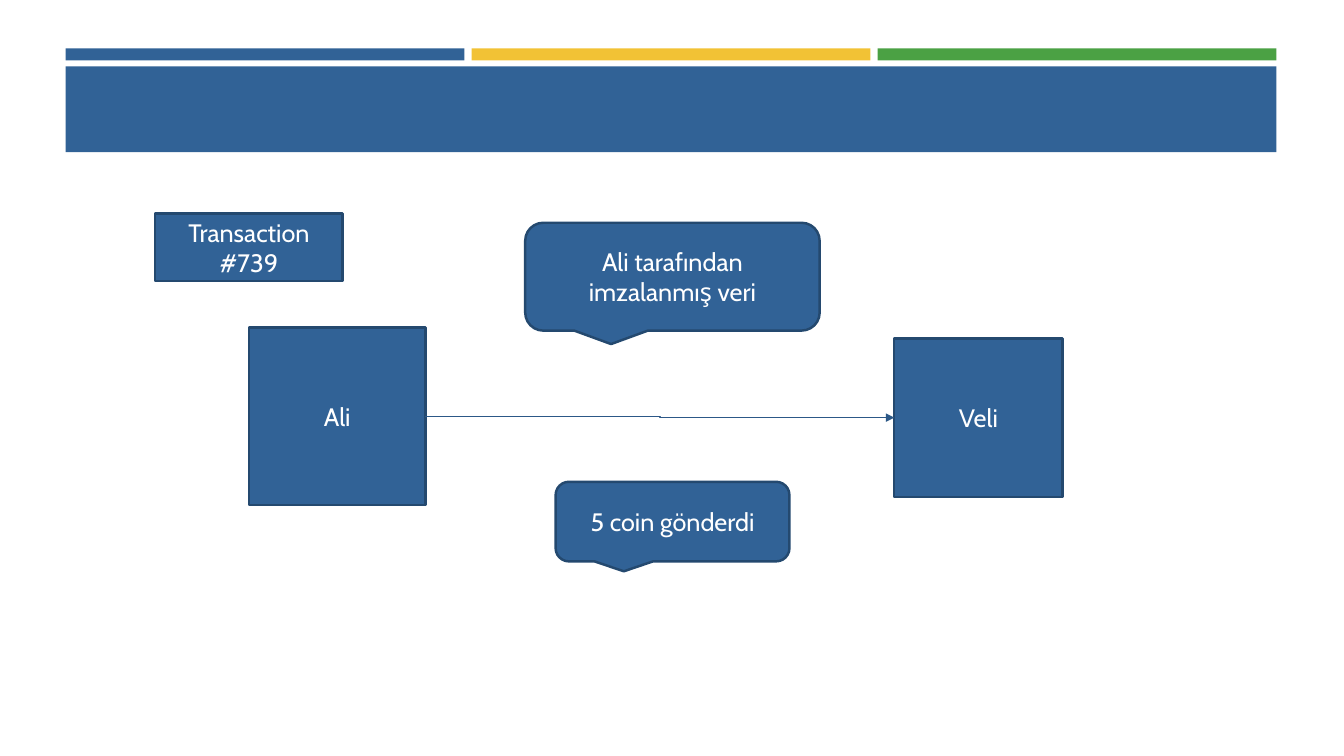
from lxml.etree import SubElement
from pptx import Presentation
from pptx.dml.color import RGBColor
from pptx.enum.shapes import MSO_CONNECTOR, MSO_SHAPE
from pptx.enum.text import MSO_ANCHOR, PP_ALIGN
from pptx.oxml.ns import qn
from pptx.util import Inches, Pt

BLUE, YELLOW, GREEN = "316296", "F2C235", "4BA144"
OUTLINE, ARROW, WHITE = "24496F", "2C5887", "FFFFFF"
RIGHT_SIDE, LEFT_SIDE = 3, 1


def color(hex_string):
    return RGBColor.from_string(hex_string)


class TransactionSlide:
    font = "Cabin"
    text_size = Pt(18)

    def __init__(self, deck):
        self.width, self.height = deck.slide_width, deck.slide_height
        self.slide = deck.slides.add_slide(deck.slide_layouts[6])

    def across(self, percent):
        return round(self.width * percent / 100)

    def down(self, percent):
        return round(self.height * percent / 100)

    def block(self, left, top, width, height, fill=BLUE, kind=MSO_SHAPE.RECTANGLE):
        block = self.slide.shapes.add_shape(
            kind, self.across(left), self.down(top), self.across(width), self.down(height))
        block.shadow.inherit = False
        block.fill.solid()
        block.fill.fore_color.rgb = color(fill)
        block.line.fill.background()
        return block

    def label(self, words, left, top, width, height, kind=MSO_SHAPE.RECTANGLE):
        label = self.block(left, top, width, height, kind=kind)
        label.line.color.rgb = color(OUTLINE)
        label.line.width = Pt(1.75)
        frame = label.text_frame
        frame.word_wrap = True
        frame.vertical_anchor = MSO_ANCHOR.MIDDLE
        paragraph = frame.paragraphs[0]
        paragraph.alignment = PP_ALIGN.CENTER
        run = paragraph.add_run()
        run.text = words
        run.font.name = self.font
        run.font.size = self.text_size
        run.font.color.rgb = color(WHITE)
        return label

    def callout(self, words, left, top, width, height):
        return self.label(words, left, top, width, height,
                          MSO_SHAPE.ROUNDED_RECTANGULAR_CALLOUT)

    def transfer(self, sender, receiver):
        arrow = self.slide.shapes.add_connector(MSO_CONNECTOR.ELBOW, 0, 0, 0, 0)
        arrow.begin_connect(sender, RIGHT_SIDE)
        arrow.end_connect(receiver, LEFT_SIDE)
        arrow.line.color.rgb = color(ARROW)
        arrow.line.width = Pt(1)
        SubElement(arrow.line._get_or_add_ln(), qn("a:tailEnd"), type="triangle")
        SubElement(arrow._element.spPr, qn("a:effectLst"))


def main():
    deck = Presentation()
    deck.slide_width, deck.slide_height = Inches(13.33), Inches(7.5)
    page = TransactionSlide(deck)

    margin, band_width, gap = 4.88, 90.1, 0.53
    stripe_width = (band_width - 2 * gap) / 3
    for column, stripe_color in enumerate((BLUE, YELLOW, GREEN)):
        page.block(margin + column * (stripe_width + gap), 6.4, stripe_width, 1.6, stripe_color)
    page.block(margin, 8.8, band_width, 11.33)

    ali = page.label("Ali", 18.53, 43.33, 13.13, 23.47)
    veli = page.label("Veli", 66.54, 44.76, 12.53, 20.96)
    page.transfer(ali, veli)
    page.callout("Ali tarafından imzalanmış veri", 39.08, 29.47, 21.91, 14.27)
    page.callout("5 coin gönderdi", 41.34, 63.73, 17.4, 10.53)
    page.label("Transaction #739", 11.55, 28.27, 13.95, 8.93)

    deck.save("out.pptx")


if __name__ == "__main__":
    main()
